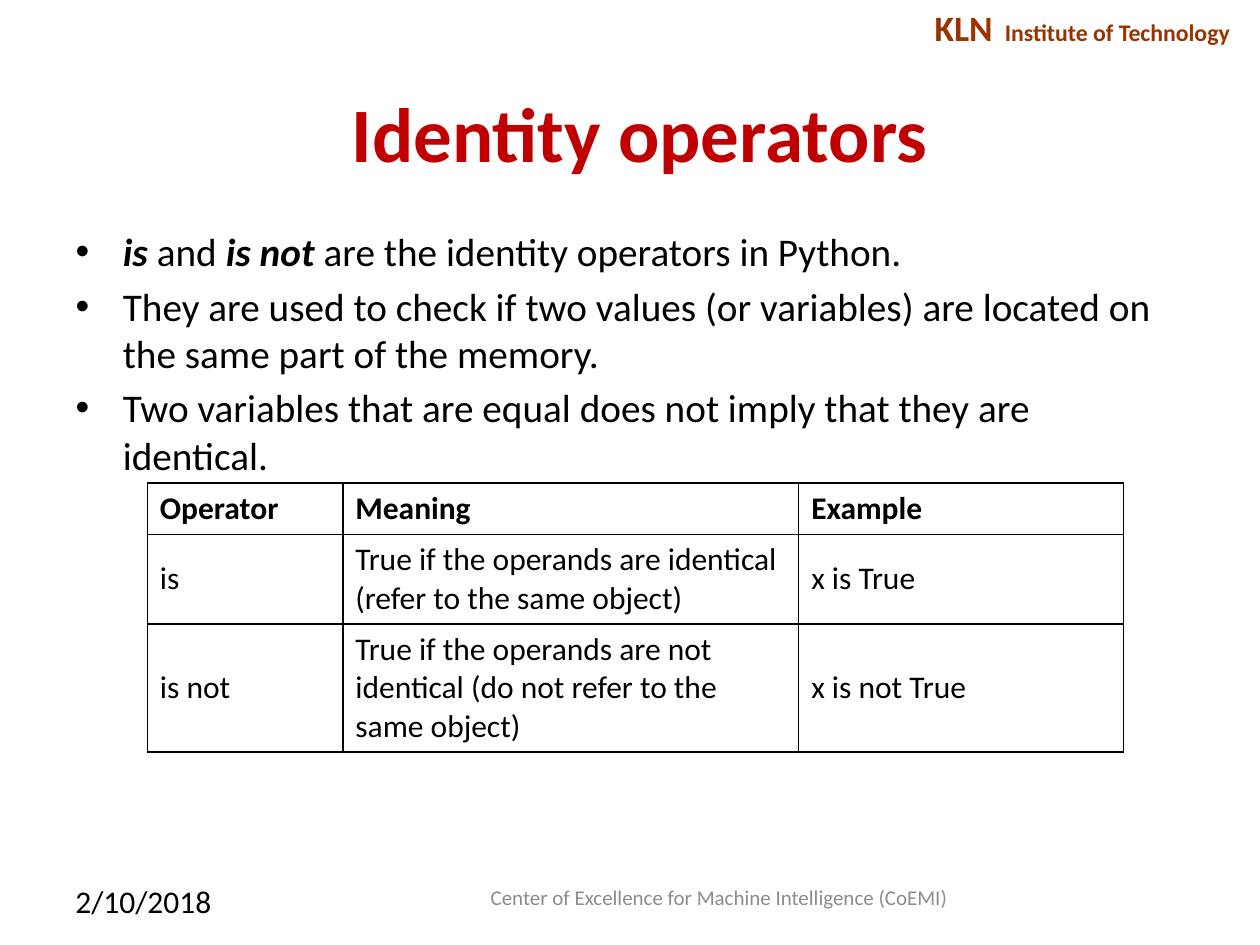
from lxml.etree import SubElement
from pptx import Presentation
from pptx.dml.color import RGBColor
from pptx.enum.text import MSO_ANCHOR, MSO_AUTO_SIZE, PP_ALIGN
from pptx.oxml.ns import qn
from pptx.util import Cm, Pt

BLACK = RGBColor(0x00, 0x00, 0x00)
CRIMSON = RGBColor(0xC0, 0x00, 0x00)
RUST = RGBColor(0x99, 0x33, 0x00)
GREY = RGBColor(0x8C, 0x8C, 0x8C)
FONT = "Calibri"

POINTS = [
    [("is", True), (" and ", False), ("is not", True),
     (" are the identity operators in Python.", False)],
    [("They are used to check if two values (or variables) are located on "
      "the same part of the memory.", False)],
    [("Two variables that are equal does not imply that they are identical.", False)],
]
OPERATORS = [
    ("Operator", "Meaning", "Example"),
    ("is", "True if the operands are identical (refer to the same object)", "x is True"),
    ("is not", "True if the operands are not identical (do not refer to the same object)",
     "x is not True"),
]
COLUMN_WIDTHS = [Cm(3.94), Cm(9.19), Cm(6.55)]
ROW_HEIGHTS = [Cm(1.02), Cm(1.81), Cm(2.57)]


def add_text(paragraph, text, size=18, color=BLACK, bold=False, italic=False):
    run = paragraph.add_run()
    run.text = text
    font = run.font
    font.name = FONT
    font.size = Pt(size)
    font.color.rgb = color
    font.bold = bold
    font.italic = italic


def place(shape, left, top, width, height):
    shape.left, shape.top = Cm(left), Cm(top)
    shape.width, shape.height = Cm(width), Cm(height)
    shape.text_frame.auto_size = MSO_AUTO_SIZE.NONE


def add_label(slide, left, top, width, height, wrap=True, anchor=MSO_ANCHOR.TOP):
    label = slide.shapes.add_textbox(0, 0, 0, 0)
    place(label, left, top, width, height)
    label.text_frame.word_wrap = wrap
    label.text_frame.vertical_anchor = anchor
    return label.text_frame


def add_header(slide):
    frame = add_label(slide, 18.59, 0, 6.81, 1.12, wrap=False)
    frame.margin_top = frame.margin_bottom = 0
    institute = frame.paragraphs[0]
    institute.line_spacing = 0.8
    for text, size in (("KLN", 20.4), (" ", 30.6), ("Institute of Technology", 13.6)):
        add_text(institute, text, size=size, color=RUST, bold=True)


def fill_title(title):
    place(title, 1.47, 1.07, 22.86, 3.18)
    title.text_frame.vertical_anchor = MSO_ANCHOR.MIDDLE
    heading = title.text_frame.paragraphs[0]
    heading.alignment = PP_ALIGN.CENTER
    add_text(heading, "Identity operators", size=44, color=CRIMSON, bold=True)


def fill_points(body):
    place(body, 1.27, 4.45, 22.86, 4.01)
    frame = body.text_frame
    for index, parts in enumerate(POINTS):
        point = frame.add_paragraph() if index else frame.paragraphs[0]
        for text, keyword in parts:
            add_text(point, text, size=22.4, bold=keyword, italic=keyword)


def add_borders(cell):
    properties = cell._tc.get_or_add_tcPr()
    for side in ("a:lnL", "a:lnR", "a:lnT", "a:lnB"):
        border = SubElement(properties, qn(side), w=str(Pt(1)))
        fill = SubElement(border, qn("a:solidFill"))
        SubElement(fill, qn("a:srgbClr"), val=str(BLACK))


def add_operator_table(slide):
    table = slide.shapes.add_table(
        len(ROW_HEIGHTS), len(COLUMN_WIDTHS), Cm(2.97), Cm(9.74),
        sum(COLUMN_WIDTHS), sum(ROW_HEIGHTS)).table
    table.first_row = table.horz_banding = False
    for column, width in zip(table.columns, COLUMN_WIDTHS):
        column.width = width
    for row_index, (row, texts) in enumerate(zip(table.rows, OPERATORS)):
        row.height = ROW_HEIGHTS[row_index]
        for cell, text in zip(row.cells, texts):
            add_borders(cell)
            cell.fill.background()
            cell.vertical_anchor = MSO_ANCHOR.MIDDLE
            add_text(cell.text_frame.paragraphs[0], text, bold=row_index == 0)


def add_footer(slide):
    date = add_label(slide, 1.27, 17.65, 5.92, 1.02)
    add_text(date.paragraphs[0], "2/10/2018")
    center = add_label(slide, 8.05, 17.58, 12.9, 1.02, anchor=MSO_ANCHOR.MIDDLE)
    center.paragraphs[0].alignment = PP_ALIGN.CENTER
    add_text(center.paragraphs[0], "Center of Excellence for Machine Intelligence (CoEMI)",
             size=12, color=GREY)


def main():
    deck = Presentation()
    deck.slide_width, deck.slide_height = Cm(25.4), Cm(19.05)
    slide = deck.slides.add_slide(deck.slide_layouts[1])
    add_header(slide)
    fill_title(slide.shapes.title)
    fill_points(slide.placeholders[1])
    add_operator_table(slide)
    add_footer(slide)
    deck.save("out.pptx")


if __name__ == "__main__":
    main()
